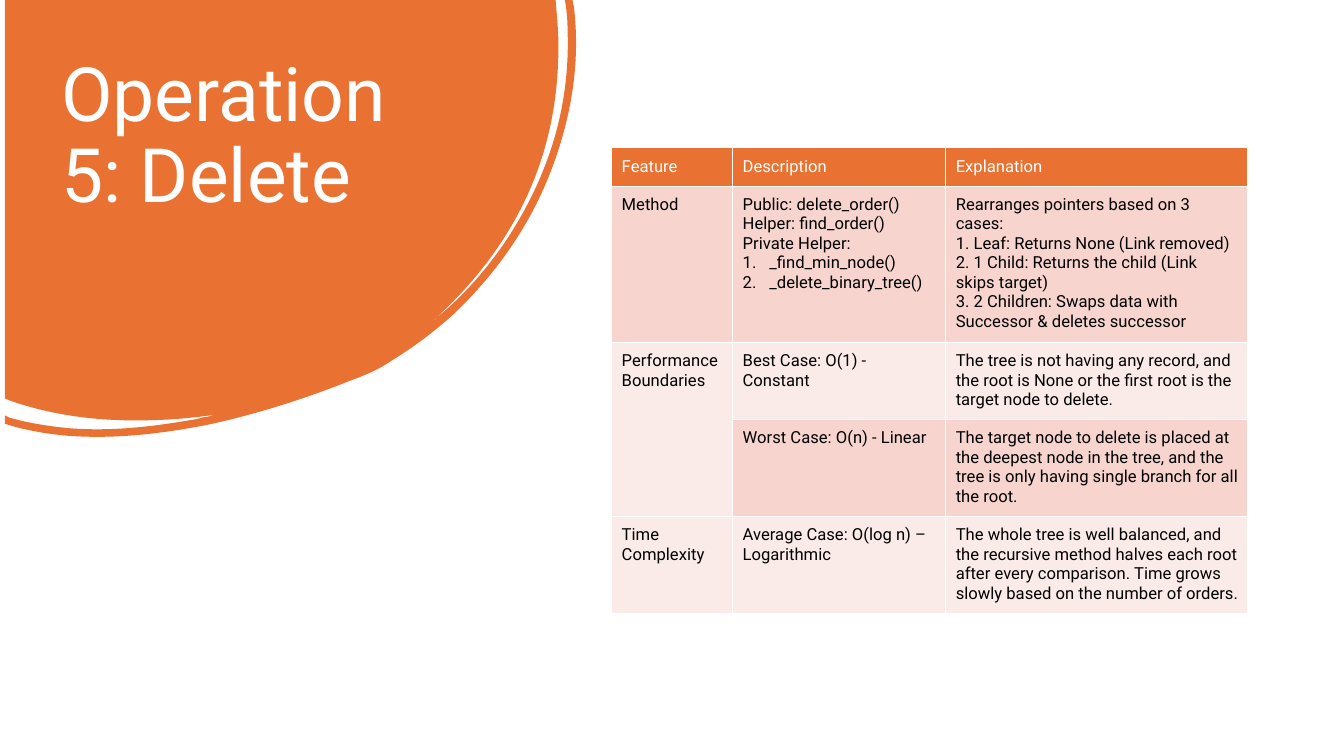
from lxml import etree
from pptx import Presentation
from pptx.dml.color import RGBColor
from pptx.enum import text
from pptx.oxml import ns
from pptx.util import Inches, Pt

ORANGE = RGBColor(0xE9, 0x71, 0x32)
DARK_BAND = RGBColor(0xF7, 0xD5, 0xCE)
LIGHT_BAND = RGBColor(0xFB, 0xEB, 0xE8)
WHITE = RGBColor(0xFF, 0xFF, 0xFF)
BLACK = RGBColor(0, 0, 0)
FONT = "Roboto"

# Outline of the blob from its top left corner: one point is a line,
# three points are a Bezier curve
BLOB = [
    [(7.83, 0)], [(7.85, 0.24)],
    [(7.86, 0.37), (7.87, 0.51), (7.87, 0.65)],
    [(7.87, 1.44), (7.72, 2.19), (7.37, 2.9)],
    [(7.05, 3.55), (6.61, 4.09), (6.08, 4.57)],
    [(6.1, 4.56), (6.13, 4.54), (6.14, 4.52)],
    [(6.53, 4.2), (6.86, 3.82), (7.14, 3.4)],
    [(7.73, 2.5), (8.04, 1.52), (8, 0.43)],
    [(8, 0.3), (7.99, 0.17), (7.97, 0.05)],
    [(7.96, 0)], [(8.07, 0)], [(8.09, 0.1)],
    [(8.17, 0.77), (8.09, 1.45), (7.87, 2.13)],
    [(7.58, 3.04), (7.07, 3.81), (6.38, 4.47)],
    [(6.25, 4.59), (6.11, 4.7), (5.97, 4.81)],
    [(5.82, 4.92), (5.68, 5.02), (5.5, 5.13)],
    [(5.33, 5.25), (5.12, 5.34), (4.9, 5.42)],
    [(4.25, 5.68), (3.58, 5.89), (2.9, 6.04)],
    [(2.24, 6.17), (1.57, 6.25), (0.9, 6.2)],
    [(0.65, 6.18), (0.41, 6.14), (0.17, 6.08)],
    [(0, 6.03)], [(0, 5.91)], [(0.06, 5.94)],
    [(0.33, 6.02), (0.6, 6.06), (0.88, 6.09)],
    [(1.46, 6.14), (2.04, 6.08), (2.62, 5.98)],
    [(2.69, 5.97), (2.75, 5.96), (2.81, 5.94)],
    [(2.87, 5.93), (2.93, 5.92), (2.99, 5.9)],
    [(2.64, 5.95), (2.29, 5.98), (1.94, 5.98)],
    [(1.31, 5.99), (0.69, 5.91), (0.1, 5.71)],
    [(0, 5.67)],
]

HELPERS = ["_find_min_node()", "_delete_binary_tree()"]
COLUMNS = [1.72, 3.03, 4.29]
# Height, fill and cells of each row; a cell is a list of paragraphs
ROWS = [
    (0.56, ORANGE, [["Feature"], ["Description"], ["Explanation"]]),
    (1.94, DARK_BAND, [
        ["Method"],
        ["Public: delete_order()", "Helper: find_order()\nPrivate Helper:", *HELPERS],
        ["Rearranges pointers based on 3 cases:",
         "1. Leaf: Returns None (Link removed)",
         "2. 1 Child: Returns the child (Link skips target)",
         "3. 2 Children: Swaps data with Successor & deletes successor"]]),
    (1.1, LIGHT_BAND, [
        ["Performance Boundaries"],
        ["Best Case: O(1) - Constant"],
        ["The tree is not having any record, and the root is None or the first "
         "root is the target node to delete."]]),
    (1.38, DARK_BAND, [
        [],
        ["Worst Case: O(n) - Linear"],
        ["The target node to delete is placed at the deepest node in the tree, "
         "and the tree is only having single branch for all the root."]]),
    (1.38, LIGHT_BAND, [
        ["Time Complexity"],
        ["Average Case: O(log n) – Logarithmic"],
        ["The whole tree is well balanced, and the recursive method halves each "
         "root after every comparison. Time grows slowly based on the number of orders."]]),
]


def add_span(para, words, size, color):
    span = para.add_run()
    span.text = words
    span.font.name = FONT
    span.font.size = Pt(size)
    span.font.color.rgb = color


def bend_segments(shape, segments):
    """Turn the straight segments that have three points into curves."""
    lines = list(shape._element.iter(ns.qn("a:lnTo")))
    for line, segment in zip(lines, segments):
        if len(segment) == 3:
            curve = etree.Element(ns.qn("a:cubicBezTo"))
            for x, y in segment:
                etree.SubElement(curve, ns.qn("a:pt"), x=str(Inches(x)), y=str(Inches(y)))
            line.getparent().replace(line, curve)


def add_blob(page, left, top):
    corners = [(Inches(left + x), Inches(top + y)) for x, y in (part[-1] for part in BLOB)]
    builder = page.shapes.build_freeform(Inches(left), Inches(top))
    builder.add_line_segments(corners, close=True)
    blob = builder.convert_to_shape()
    bend_segments(blob, BLOB)
    blob.shadow.inherit = False
    blob.fill.solid()
    blob.fill.fore_color.rgb = ORANGE
    blob.line.fill.background()


def add_title(page, left, top, width, height):
    box = page.shapes.add_textbox(Inches(left), Inches(top), Inches(width), Inches(height))
    frame = box.text_frame
    frame.word_wrap = True
    frame.vertical_anchor = text.MSO_ANCHOR.TOP
    frame.margin_left = frame.margin_right = Inches(0.1)
    frame.margin_top = frame.margin_bottom = Inches(0.05)
    para = frame.paragraphs[0]
    para.line_spacing = 0.9
    add_span(para, "Operation 5: Delete", 76.8, WHITE)


def set_borders(cell):
    properties = cell._tc.get_or_add_tcPr()
    for side in "LRTB":
        line = etree.SubElement(properties, ns.qn(f"a:ln{side}"), w=str(Pt(1)))
        fill = etree.SubElement(line, ns.qn("a:solidFill"))
        etree.SubElement(fill, ns.qn("a:srgbClr"), val=str(WHITE))


def number_paragraph(para):
    properties = para._p.get_or_add_pPr()
    properties.set("marL", str(Inches(0.38)))
    properties.set("indent", str(-Inches(0.38)))
    etree.SubElement(properties, ns.qn("a:buFont"), typeface=FONT)
    etree.SubElement(properties, ns.qn("a:buAutoNum"), type="arabicPeriod")


def fill_cell(cell, lines, fill, is_header):
    set_borders(cell)
    cell.fill.solid()
    cell.fill.fore_color.rgb = fill
    cell.margin_left = Inches(0.15)
    cell.margin_right = cell.margin_top = cell.margin_bottom = Inches(0.12)
    cell.vertical_anchor = text.MSO_ANCHOR.MIDDLE if is_header else text.MSO_ANCHOR.TOP
    frame = cell.text_frame
    for index, line in enumerate(lines):
        para = frame.add_paragraph() if index else frame.paragraphs[0]
        if line in HELPERS:
            number_paragraph(para)
        for part_index, part in enumerate(line.split("\n")):
            if part_index:
                para.add_line_break()
            add_span(para, part, 17, WHITE if is_header else BLACK)


def add_feature_table(page, left, top):
    height = sum(row[0] for row in ROWS)
    table = page.shapes.add_table(len(ROWS), len(COLUMNS), Inches(left), Inches(top),
                                  Inches(sum(COLUMNS)), Inches(height)).table
    for column, width in zip(table.columns, COLUMNS):
        column.width = Inches(width)
    for row_index, (row_height, fill, cells) in enumerate(ROWS):
        table.rows[row_index].height = Inches(row_height)
        for column_index, lines in enumerate(cells):
            fill_cell(table.cell(row_index, column_index), lines, fill, row_index == 0)
    # "Performance Boundaries" covers the best and the worst case
    table.cell(2, 0).merge(table.cell(3, 0))


def main():
    deck = Presentation()
    deck.slide_width, deck.slide_height = Inches(19.11), Inches(10.67)
    page = deck.slides.add_slide(deck.slide_layouts[6])
    add_blob(page, 0.07, 0)
    add_title(page, 0.77, 0.76, 5.59, 3.15)
    add_feature_table(page, 8.69, 2.09)
    deck.save("out.pptx")


if __name__ == "__main__":
    main()
